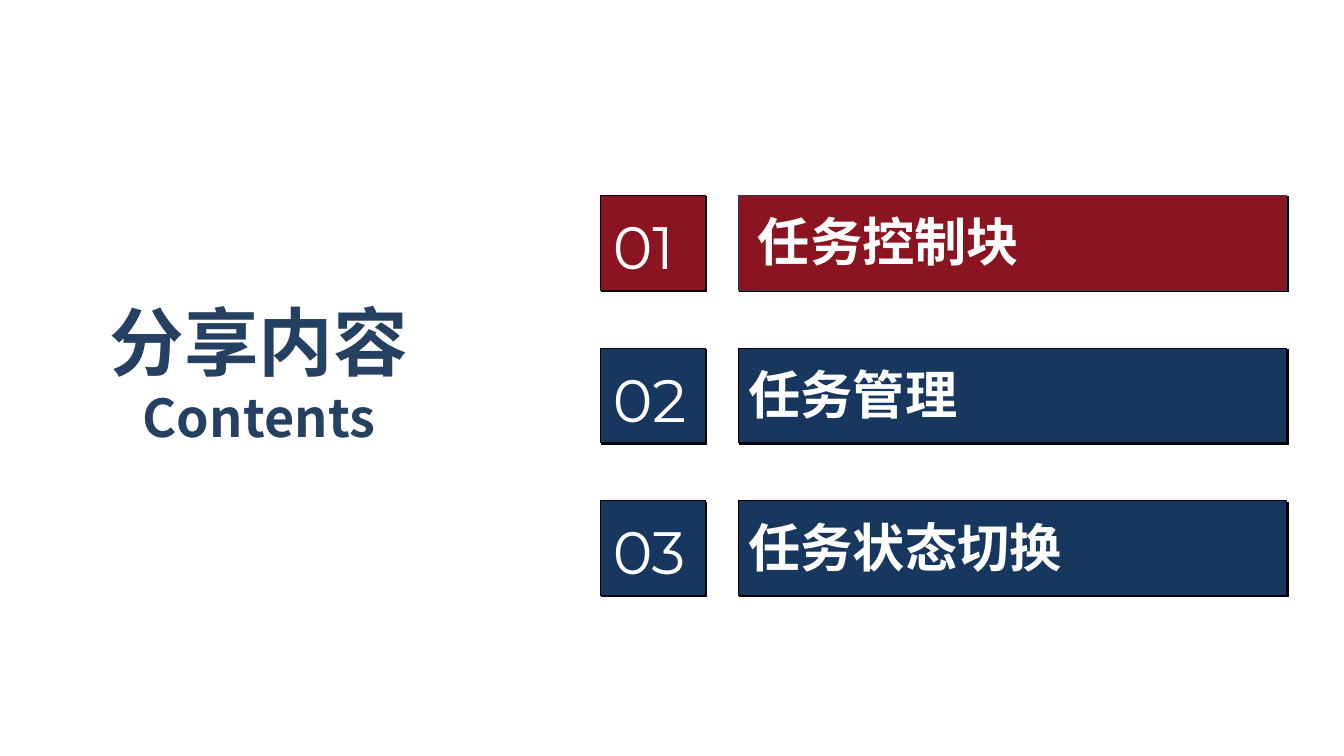
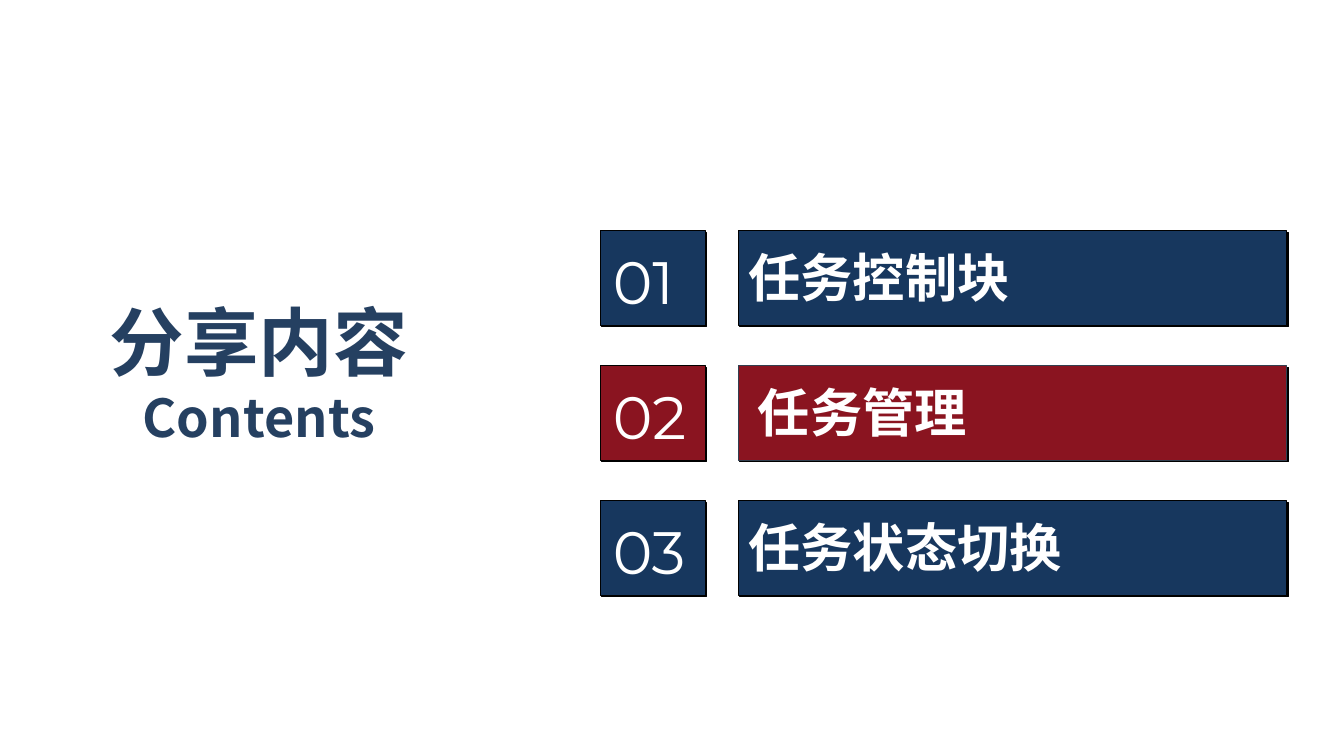
from lxml import etree
from pptx import Presentation
from pptx.dml.color import RGBColor
from pptx.enum.shapes import MSO_SHAPE
from pptx.enum.text import MSO_ANCHOR, MSO_AUTO_SIZE, PP_ALIGN
from pptx.oxml.ns import qn
from pptx.util import Pt

CRIMSON = RGBColor(0x8A, 0x14, 0x20)
NAVY = RGBColor(0x17, 0x37, 0x5E)
HEADING_BLUE = RGBColor(0x25, 0x40, 0x61)
SLATE = RGBColor(0x32, 0x3F, 0x4F)
BLACK = RGBColor(0, 0, 0)
WHITE = RGBColor(0xFF, 0xFF, 0xFF)

CJK_FONT = "Noto Sans CJK SC"
NUMBER_FONT = "Montserrat"
TITLE_ONLY = 5

TOPICS = ["任务控制块", "任务管理", "任务状态切换"]
HEADING = [("分享内容", 53.3), ("Contents", 37.3)]
HEADING_BOX = (69.8, 207.4, 230.4, 117.4)

# Agenda columns and rows, in points
AGENDA_LEFT, AGENDA_WIDTH, AGENDA_BOTTOM = 428.8, 490.5, 425.5
ROW_HEIGHT = 67.7
NUMBER_WIDTH = 74.9
BAR_OFFSET = 98.8
ACTIVE_INDENT = 6.7
LABEL_OVERHANG = 19.5


def add_run(paragraph, text, size, color, font, bold):
    run = paragraph.add_run()
    run.text = text
    run.font.size = Pt(size)
    run.font.bold = bold
    run.font.color.rgb = color
    run.font.name = font
    east_asian = etree.SubElement(run.font._element, qn("a:ea"))
    east_asian.set("typeface", font)


def add_hard_shadow(shape):
    """Give the shape a solid black shadow, down and to the right."""
    shape.shadow.inherit = False
    effects = shape._element.spPr.find(qn("a:effectLst"))
    shadow = etree.SubElement(effects, qn("a:outerShdw"), blurRad="0",
                              dist=str(Pt(1.4)), dir="2700000",
                              algn="tl", rotWithShape="0")
    etree.SubElement(shadow, qn("a:srgbClr"), val=str(BLACK))


def add_panel(slide, left, top, width, fill, outline):
    panel = slide.shapes.add_shape(MSO_SHAPE.RECTANGLE, Pt(left), Pt(top),
                                   Pt(width), Pt(ROW_HEIGHT))
    panel.fill.solid()
    panel.fill.fore_color.rgb = fill
    panel.line.color.rgb = outline
    panel.line.width = Pt(0.75)
    add_hard_shadow(panel)


def add_caption(slide, box, text, size, font, bold):
    caption = slide.shapes.add_textbox(*map(Pt, box))
    frame = caption.text_frame
    frame.word_wrap = True
    add_run(frame.paragraphs[0], text, size, WHITE, font, bold)


def add_agenda_row(slide, left, top, width, number, topic, active):
    fill = CRIMSON if active else NAVY
    bar_left = left + BAR_OFFSET
    bar_width = width - BAR_OFFSET
    indent = ACTIVE_INDENT if active else 0
    caption_top = top + 6.5

    add_panel(slide, left, top, NUMBER_WIDTH, fill, BLACK)
    add_caption(slide, (left + 1.8, caption_top, 80.6, 59),
                f"{number:02}", 42.7, NUMBER_FONT, False)
    add_panel(slide, bar_left, top, bar_width, fill,
              SLATE if active else BLACK)
    add_caption(slide, (bar_left + indent, caption_top,
                        bar_width + LABEL_OVERHANG - indent, 52.6),
                topic, 37.3, CJK_FONT, True)


def add_agenda(slide, left, top, width, height, active_number):
    """Spread the topics evenly over the box, highlighting one."""
    step = (height - ROW_HEIGHT) / (len(TOPICS) - 1)
    for number, topic in enumerate(TOPICS, start=1):
        add_agenda_row(slide, left, top + (number - 1) * step, width,
                       number, topic, number == active_number)


def fill_heading(title, left, top, width, height):
    title.left, title.top = Pt(left), Pt(top)
    title.width, title.height = Pt(width), Pt(height)
    frame = title.text_frame
    frame.word_wrap = False
    frame.auto_size = MSO_AUTO_SIZE.SHAPE_TO_FIT_TEXT
    frame.vertical_anchor = MSO_ANCHOR.TOP
    for index, (text, size) in enumerate(HEADING):
        paragraph = frame.add_paragraph() if index else frame.paragraphs[0]
        paragraph.alignment = PP_ALIGN.CENTER
        add_run(paragraph, text, size, HEADING_BLUE, CJK_FONT, True)


def add_contents_slide(deck, active_number, agenda_top):
    slide = deck.slides.add_slide(deck.slide_layouts[TITLE_ONLY])
    fill_heading(slide.shapes.title, *HEADING_BOX)
    add_agenda(slide, AGENDA_LEFT, agenda_top, AGENDA_WIDTH,
               AGENDA_BOTTOM - agenda_top, active_number)


def main():
    deck = Presentation()
    deck.slide_width, deck.slide_height = Pt(960), Pt(540)
    add_contents_slide(deck, active_number=1, agenda_top=139.7)
    add_contents_slide(deck, active_number=2, agenda_top=164.9)
    deck.save("out.pptx")


if __name__ == "__main__":
    main()
